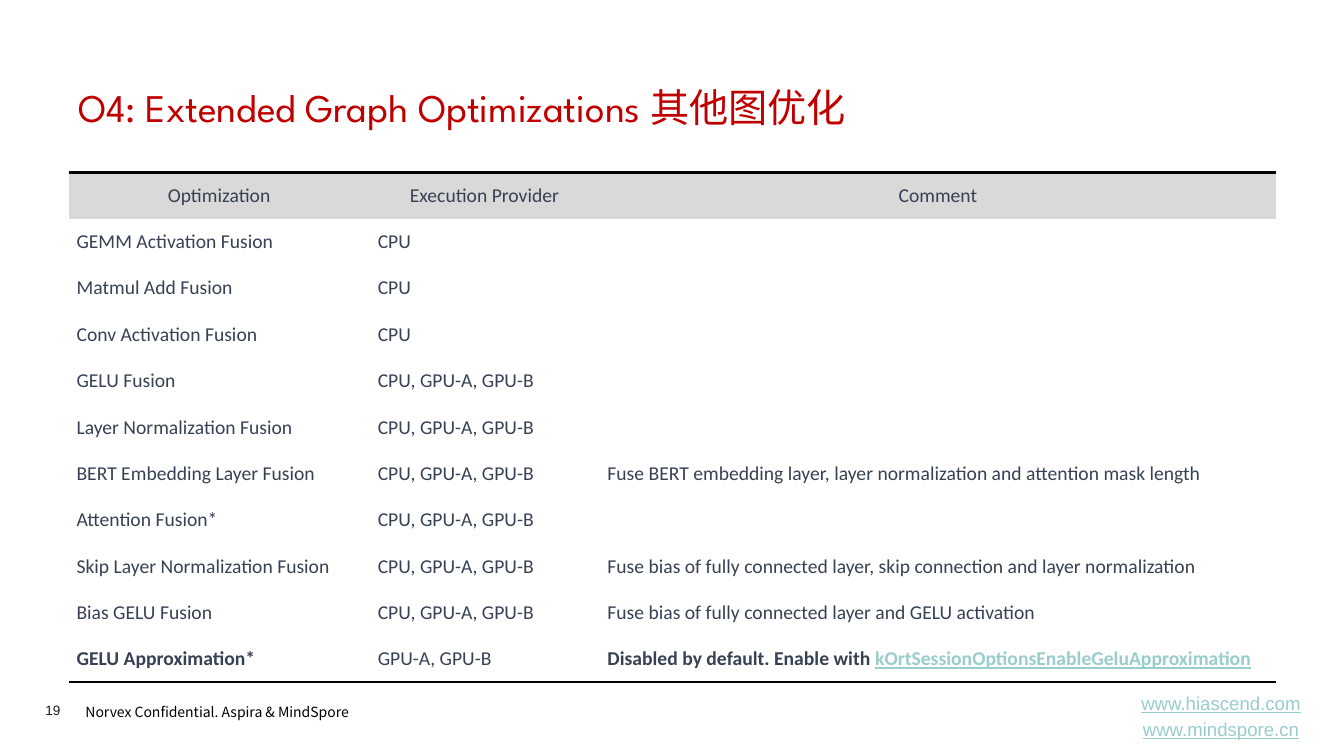
from dataclasses import dataclass

from lxml import etree
from pptx import Presentation
from pptx.dml.color import RGBColor
from pptx.enum.text import MSO_ANCHOR, PP_ALIGN
from pptx.oxml.ns import qn
from pptx.util import Pt

TOP, MIDDLE = MSO_ANCHOR.TOP, MSO_ANCHOR.MIDDLE
LEFT, CENTER = PP_ALIGN.LEFT, PP_ALIGN.CENTER
PX = 9144  # 100 px to the inch
PLAIN_GRID = "{2D5ABB26-0587-4C30-8999-92F81FD0307C}"


@dataclass(frozen=True)
class Theme:
    red: str = "C00000"
    slate: str = "374154"
    link: str = "99CCCC"
    black: str = "000000"
    ink: str = "1D1D1B"
    head: str = "D9D9D9"
    body: str = "FFFFFF"
    title: tuple = ("League Spartan", 28)
    cell: tuple = ("Calibri", 14)
    note: tuple = ("Noto Sans CJK SC", 10)
    page: tuple = ("Arial", 9.7)
    site: tuple = ("Arial", 13.3)
    rule: float = 2


THEME = Theme()

HEAD = ("Optimization", "Execution Provider", "Comment")
ALL = "CPU, GPU-A, GPU-B"
ROWS = (
    ("GEMM Activation Fusion", "CPU", ""),
    ("Matmul Add Fusion", "CPU", ""),
    ("Conv Activation Fusion", "CPU", ""),
    ("GELU Fusion", ALL, ""),
    ("Layer Normalization Fusion", ALL, ""),
    ("BERT Embedding Layer Fusion", ALL,
     "Fuse BERT embedding layer, layer normalization and attention mask length"),
    ("Attention Fusion*", ALL, ""),
    ("Skip Layer Normalization Fusion", ALL,
     "Fuse bias of fully connected layer, skip connection and layer normalization"),
    ("Bias GELU Fusion", ALL,
     "Fuse bias of fully connected layer and GELU activation"),
    ("GELU Approximation*", "GPU-A, GPU-B", "Disabled by default. Enable with "),
)
OPTION = "kOrtSessionOptionsEnableGeluApproximation"
SITES = ("www.hiascend.com", "www.mindspore.cn")


def assign(item, values):
    for name, value in values.items():
        setattr(item, name, value)


def add_run(para, text, face, color, **extra):
    run = para.add_run()
    run.text = text
    name, size = face
    assign(run.font, {"name": name, "size": Pt(size), **extra})
    run.font.color.rgb = RGBColor.from_string(color)


def add_text(slide, box, lines, face, color, anchor=TOP, inset=(10, 5),
             para={}, **extra):
    frame = slide.shapes.add_textbox(*(n * PX for n in box)).text_frame
    side, end = (n * PX for n in inset)
    assign(frame, {"word_wrap": True, "vertical_anchor": anchor,
                   "margin_left": side, "margin_right": side,
                   "margin_top": end, "margin_bottom": end})
    for i, line in enumerate(lines):
        item = frame.paragraphs[0] if i == 0 else frame.add_paragraph()
        assign(item, para)
        if i:
            item.space_before = Pt(3)
        add_run(item, line, face, color, **extra)


def add_rule(cell, tag):
    """Draw one cell edge; tag is a:lnT or a:lnB."""
    line = etree.Element(qn(tag), w=str(Pt(THEME.rule)))
    fill = etree.SubElement(line, qn("a:solidFill"))
    etree.SubElement(fill, qn("a:srgbClr"), val=THEME.black)
    cell._tc.get_or_add_tcPr().insert(0, line)


def add_grid(slide, box):
    x, y, width, height = box
    data = (HEAD, *ROWS)
    last = len(data) - 1
    table = slide.shapes.add_table(
        len(data), len(HEAD), *(n * PX for n in box)).table
    assign(table, {"first_row": False, "horz_banding": False})
    table._tbl.tblPr.find(qn("a:tableStyleId")).text = PLAIN_GRID
    first, second = 299, 228
    for col, wide in zip(table.columns, (first, second, width - first - second)):
        col.width = wide * PX
    for r, texts in enumerate(data):
        table.rows[r].height = height * PX // len(data)
        for c, text in enumerate(texts):
            cell = table.cell(r, c)
            assign(cell, {"vertical_anchor": MIDDLE,
                          "margin_left": 8 * PX, "margin_right": 8 * PX,
                          "margin_top": 4 * PX, "margin_bottom": 4 * PX})
            cell.fill.solid()
            cell.fill.fore_color.rgb = RGBColor.from_string(
                THEME.body if r else THEME.head)
            para = cell.text_frame.paragraphs[0]
            para.alignment = LEFT if r else CENTER
            if text:
                add_run(para, text, THEME.cell, THEME.slate,
                        bold=r == last and c != 1)
            if r == 0:
                add_rule(cell, "a:lnT")
            if r == last:
                add_rule(cell, "a:lnB")
    add_run(table.cell(last, 2).text_frame.paragraphs[0], OPTION,
            THEME.cell, THEME.link, bold=True, underline=True)


def add_footer(slide, box):
    x, y, width, height = box
    add_text(slide, (x, y + 8, 55, 16), ["19"], THEME.page, THEME.ink,
             inset=(0, 0))
    add_text(slide, (x + 30, y + 2, 313, 29),
             ["Norvex Confidential. Aspira & MindSpore"],
             THEME.note, THEME.black, para={"line_spacing": 1.2})
    add_text(slide, (x + width - 216, y + 1, 216, height), SITES, THEME.site,
             THEME.link, MIDDLE, para={"alignment": CENTER}, underline=True)


def main():
    deck = Presentation()
    assign(deck, {"slide_width": 1334 * PX, "slide_height": 750 * PX})
    slide = deck.slides.add_slide(deck.slide_layouts[6])
    add_text(slide, (68, 74, 1199, 64),
             ["O4: Extended Graph Optimizations 其他图优化"],
             THEME.title, THEME.red, MIDDLE)
    add_grid(slide, (68, 171, 1199, 506))
    add_footer(slide, (45, 688, 1275, 43))
    deck.save("out.pptx")


if __name__ == "__main__":
    main()
